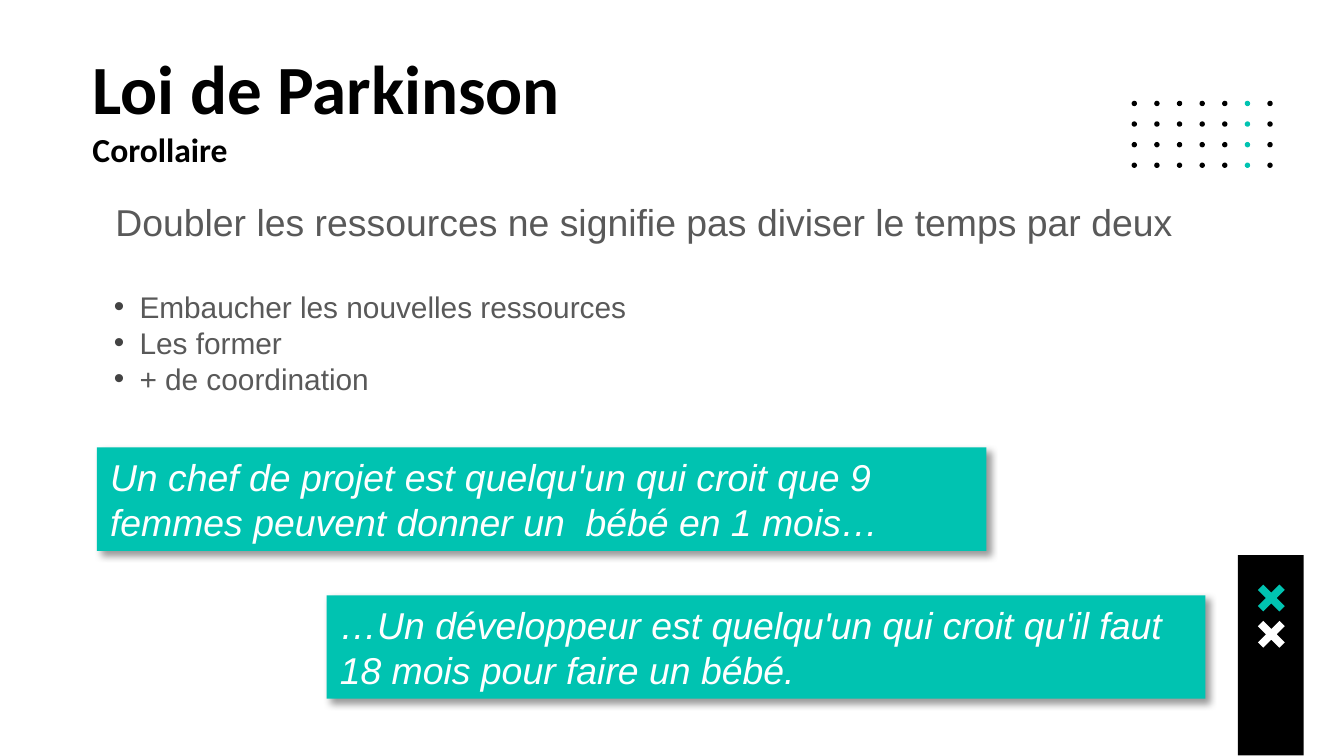
import itertools

import lxml.etree
import pptx
import pptx.dml.color
import pptx.enum.shapes
import pptx.enum.text
import pptx.oxml.ns
import pptx.util

Inches = pptx.util.Inches
Pt = pptx.util.Pt
qn = pptx.oxml.ns.qn
BLACK, WHITE, TEAL, GREY, BULLET_GREY = "000000", "FFFFFF", "00C3B1", "595959", "434343"
CROSS = [(0.04, 0), (0, 0.04), (0.06, 0.1), (0, 0.16), (0.04, 0.2), (0.1, 0.14),
         (0.16, 0.2), (0.2, 0.16), (0.14, 0.1), (0.2, 0.04), (0.16, 0), (0.1, 0.06)]


def color(value):
    return pptx.dml.color.RGBColor.from_string(value)


def child(parent, tag, **attributes):
    return lxml.etree.SubElement(parent, qn(tag), attributes)


class SlideBuilder:
    title_font = {"name": "Calibri", "bold": True}
    body_font = {"name": "Arial"}

    def __init__(self, slide):
        self.slide = slide

    def paint(self, shape, fill):
        shape.shadow.inherit = False
        shape.fill.solid()
        shape.fill.fore_color.rgb = color(fill)
        shape.line.fill.background()
        return shape

    def shape(self, kind, left, top, width, height, fill):
        shape = self.slide.shapes.add_shape(
            kind, Inches(left), Inches(top), Inches(width), Inches(height))
        return self.paint(shape, fill)

    def cross(self, left, top, fill):
        points = [(Inches(left + x), Inches(top + y)) for x, y in CROSS]
        builder = self.slide.shapes.build_freeform(*points[0])
        builder.add_line_segments(points[1:], close=True)
        return self.paint(builder.convert_to_shape(), fill)

    def text_box(self, left, top, width, height):
        box = self.slide.shapes.add_textbox(
            Inches(left), Inches(top), Inches(width), Inches(height))
        frame = box.text_frame
        frame.word_wrap = True
        for side in ("left", "top", "right", "bottom"):
            setattr(frame, f"margin_{side}", Inches(0.1))
        return frame

    def style(self, font, size, fill, **values):
        for name, value in {"size": Pt(size), **values}.items():
            setattr(font, name, value)
        font.color.rgb = color(fill)

    def run(self, paragraph, text, size, fill, **values):
        run = paragraph.add_run()
        run.text = text
        self.style(run.font, size, fill, **values)

    def title(self, frame, heading, subheading):
        paragraph = frame.paragraphs[0]
        self.run(paragraph, heading, 37, BLACK, **self.title_font)
        paragraph.add_line_break()
        self.run(paragraph, subheading, 18, BLACK, **self.title_font)

    def lead(self, frame, text):
        paragraph = frame.paragraphs[0]
        paragraph._p.get_or_add_pPr().set("marL", str(Inches(0.17)))
        self.run(paragraph, text, 20, GREY, **self.body_font)

    def bullet(self, frame, text, space_before):
        paragraph = frame.add_paragraph()
        paragraph.space_before = Pt(space_before)
        properties = paragraph._p.get_or_add_pPr()
        properties.set("marL", str(Inches(0.35)))
        properties.set("indent", str(Inches(-0.19)))
        child(child(properties, "a:buClr"), "a:srgbClr", val=BULLET_GREY)
        child(properties, "a:buFont", typeface="Arial")
        child(properties, "a:buChar", char="•")
        self.run(paragraph, text, 16, GREY, **self.body_font)

    def callout(self, left, top, width, height, text):
        shape = self.shape(pptx.enum.shapes.MSO_SHAPE.RECTANGLE, left, top, width, height, TEAL)
        effects = shape._element.spPr.find(qn("a:effectLst"))
        shadow = child(effects, "a:outerShdw", blurRad=str(Pt(4)), dist=str(Pt(3)),
                       dir="2700000", algn="tl", rotWithShape="0")
        child(child(shadow, "a:srgbClr", val=BLACK), "a:alpha", val="40000")
        frame = shape.text_frame
        frame.word_wrap = True
        frame.auto_size = pptx.enum.text.MSO_AUTO_SIZE.SHAPE_TO_FIT_TEXT
        frame.vertical_anchor = pptx.enum.text.MSO_ANCHOR.MIDDLE
        paragraph = frame.paragraphs[0]
        paragraph.alignment = pptx.enum.text.PP_ALIGN.LEFT
        self.run(paragraph, text, 20, WHITE, italic=True, **self.body_font)


def main():
    presentation = pptx.Presentation()
    presentation.slide_width = Inches(10)
    presentation.slide_height = Inches(10) * 9 // 16
    builder = SlideBuilder(presentation.slides.add_slide(presentation.slide_layouts[6]))
    shapes = pptx.enum.shapes.MSO_SHAPE

    for row, column in itertools.product(range(4), range(7)):
        builder.shape(shapes.OVAL, 8.42 + column * 1.01 / 6, 0.75 + row * 0.46 / 3,
                      0.04, 0.04, TEAL if column == 5 else BLACK)

    builder.shape(shapes.RECTANGLE, 9.21, 4.13, 0.49, 1.49, BLACK)
    builder.cross(9.36, 4.35, TEAL)
    builder.cross(9.36, 4.62, WHITE)

    builder.title(builder.text_box(0.59, 0.24, 8.86, 0.79), "Loi de Parkinson", "Corollaire")

    body = builder.text_box(0.59, 1.38, 9.17, 3.82)
    builder.lead(body, "Doubler les ressources ne signifie pas diviser le temps par deux")
    items = ["Embaucher les nouvelles ressources", "Les former", "+ de coordination"]
    for index, item in enumerate(items):
        builder.bullet(body, item, 0 if index else 24)

    builder.callout(0.72, 3.33, 6.62, 0.77,
                    "Un chef de projet est quelqu'un qui croit que 9 femmes peuvent "
                    "donner un  bébé en 1 mois…")
    builder.callout(2.43, 4.43, 6.54, 0.77,
                    "…Un développeur est quelqu'un qui croit qu'il faut 18 mois "
                    "pour faire un bébé.")

    presentation.save("out.pptx")


if __name__ == "__main__":
    main()
